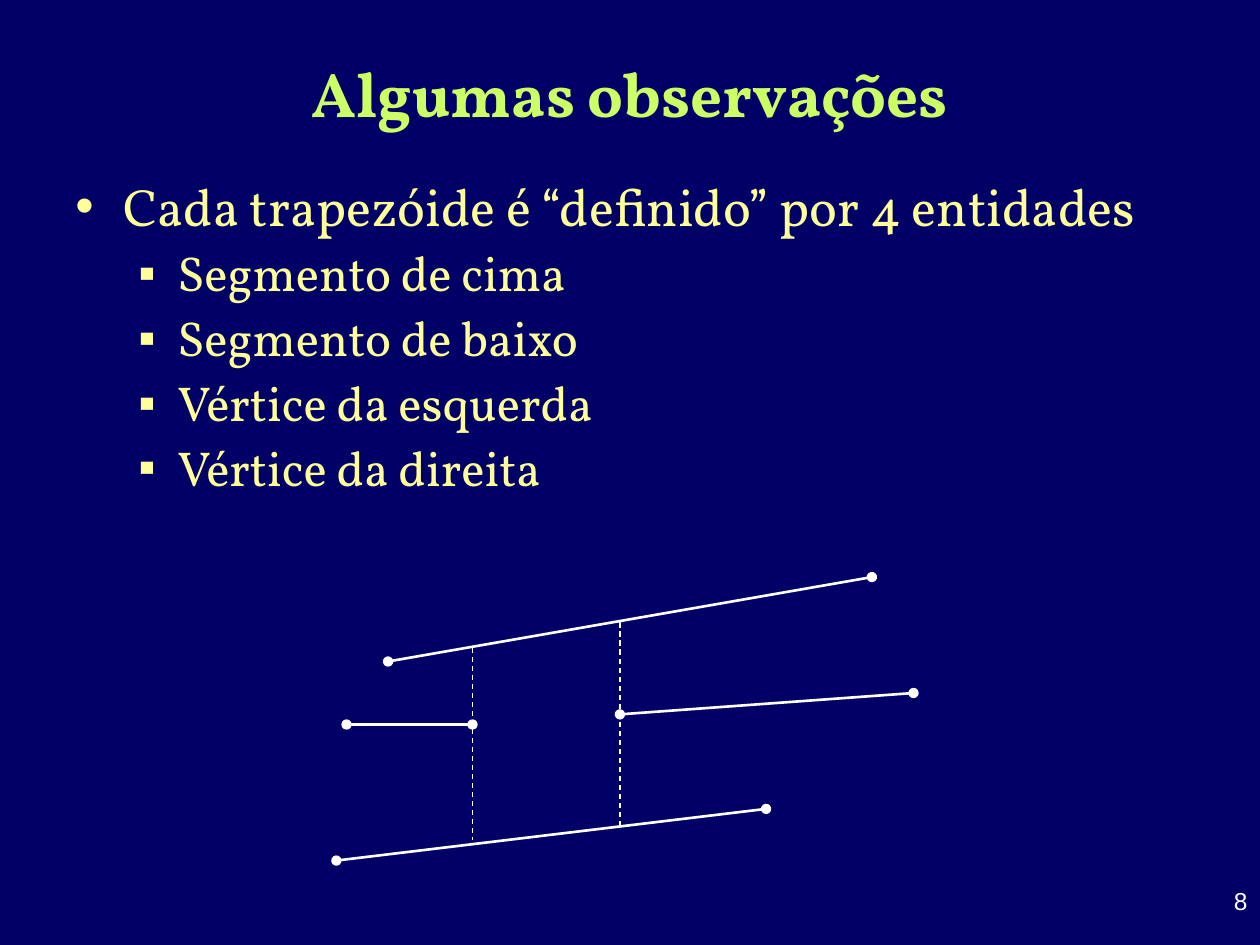
from dataclasses import dataclass
from lxml.etree import SubElement
from pptx import Presentation
from pptx.dml.color import RGBColor
from pptx.enum.dml import MSO_LINE
from pptx.enum.shapes import MSO_CONNECTOR
from pptx.enum.text import MSO_ANCHOR, PP_ALIGN
from pptx.oxml.ns import qn
from pptx.util import Inches, Pt


@dataclass(frozen=True)
class Theme:
    back: str = "000066"
    head: str = "CCFF66"
    body: str = "FFFF99"
    ink: str = "FFFFFF"
    serif: str = "Vollkorn"
    sans: str = "Arial"
    title: int = 36
    main: int = 30
    sub: int = 28
    page: int = 14


class Deck:
    def __init__(self, theme):
        self.theme = theme
        self.file = Presentation()
        self.file.slide_width = Inches(10)
        self.file.slide_height = Inches(7.5)
        self.slide = self.file.slides.add_slide(self.file.slide_layouts[6])
        fill = self.slide.background.fill
        fill.solid()
        fill.fore_color.rgb = RGBColor.from_string(theme.back)

    def box(self, left, top, width, height, anchor=MSO_ANCHOR.TOP):
        shape = self.slide.shapes.add_textbox(
            Inches(left), Inches(top), Inches(width), Inches(height))
        frame = shape.text_frame
        frame.word_wrap = True
        frame.vertical_anchor = anchor
        return frame

    def run(self, para, text, size, color, font, bold=False):
        run = para.add_run()
        run.text = text
        run.font.size = Pt(size)
        run.font.name = font
        run.font.bold = bold
        run.font.color.rgb = RGBColor.from_string(color)

    def bullet(self, para, mark, left, hang, gap, level=0):
        para.level = level
        para.space_before = Pt(gap)
        props = para._p.get_or_add_pPr()
        props.set("marL", str(Inches(left)))
        props.set("indent", str(-Inches(hang)))
        tint = SubElement(props, qn("a:buClr"))
        SubElement(tint, qn("a:srgbClr"), val=self.theme.body)
        SubElement(props, qn("a:buFont"), typeface=self.theme.sans)
        SubElement(props, qn("a:buChar"), char=mark)

    def line(self, start, end, width):
        shape = self.slide.shapes.add_connector(
            MSO_CONNECTOR.STRAIGHT, *map(Inches, start + end))
        shape.line.width = Pt(width)
        shape.line.color.rgb = RGBColor.from_string(self.theme.ink)
        SubElement(shape._element.spPr, qn("a:effectLst"))
        return shape

    def segment(self, start, end):
        shape = self.line(start, end, 1.5)
        edge = shape._element.spPr.find(qn("a:ln"))
        for tip in ("a:headEnd", "a:tailEnd"):
            SubElement(edge, qn(tip), type="oval")

    def wall(self, x, top, bottom):
        shape = self.line((x, top), (x, bottom), 0.75)
        shape.line.dash_style = MSO_LINE.DASH


def main():
    theme = Theme()
    deck = Deck(theme)

    # Title
    para = deck.box(0.5, 0.3, 9, 0.87, MSO_ANCHOR.MIDDLE).paragraphs[0]
    para.alignment = PP_ALIGN.CENTER
    deck.run(para, "Algumas observações", theme.title, theme.head,
             theme.serif, bold=True)

    # Main point and the four entities
    frame = deck.box(0.5, 1.33, 9, 5.67)
    para = frame.paragraphs[0]
    deck.bullet(para, "•", 0.38, 0.38, 3.7)
    deck.run(para, "Cada trapezóide é “definido” por 4 entidades",
             theme.main, theme.body, theme.serif)
    for text in ("Segmento de cima", "Segmento de baixo",
                 "Vértice da esquerda", "Vértice da direita"):
        para = frame.add_paragraph()
        deck.bullet(para, "▪", 0.81, 0.31, 3.5, level=1)
        deck.run(para, text, theme.sub, theme.body, theme.serif)

    # Segments with round ends
    left, right = 3.75, 4.92
    for start, end in (((3.08, 5.25), (6.92, 4.58)),
                       ((right, 5.67), (7.25, 5.5)),
                       ((left, 5.75), (2.75, 5.75)),
                       ((2.67, 6.83), (6.08, 6.42))):
        deck.segment(start, end)

    # Dashed walls of the trapezoid
    deck.wall(left, 5.14, 6.67)
    deck.wall(right, 4.94, 6.58)

    # Page number
    para = deck.box(9, 6.98, 1, 0.52).paragraphs[0]
    para.alignment = PP_ALIGN.RIGHT
    deck.run(para, "8", theme.page, theme.ink, theme.sans)

    deck.file.save("out.pptx")


if __name__ == "__main__":
    main()
